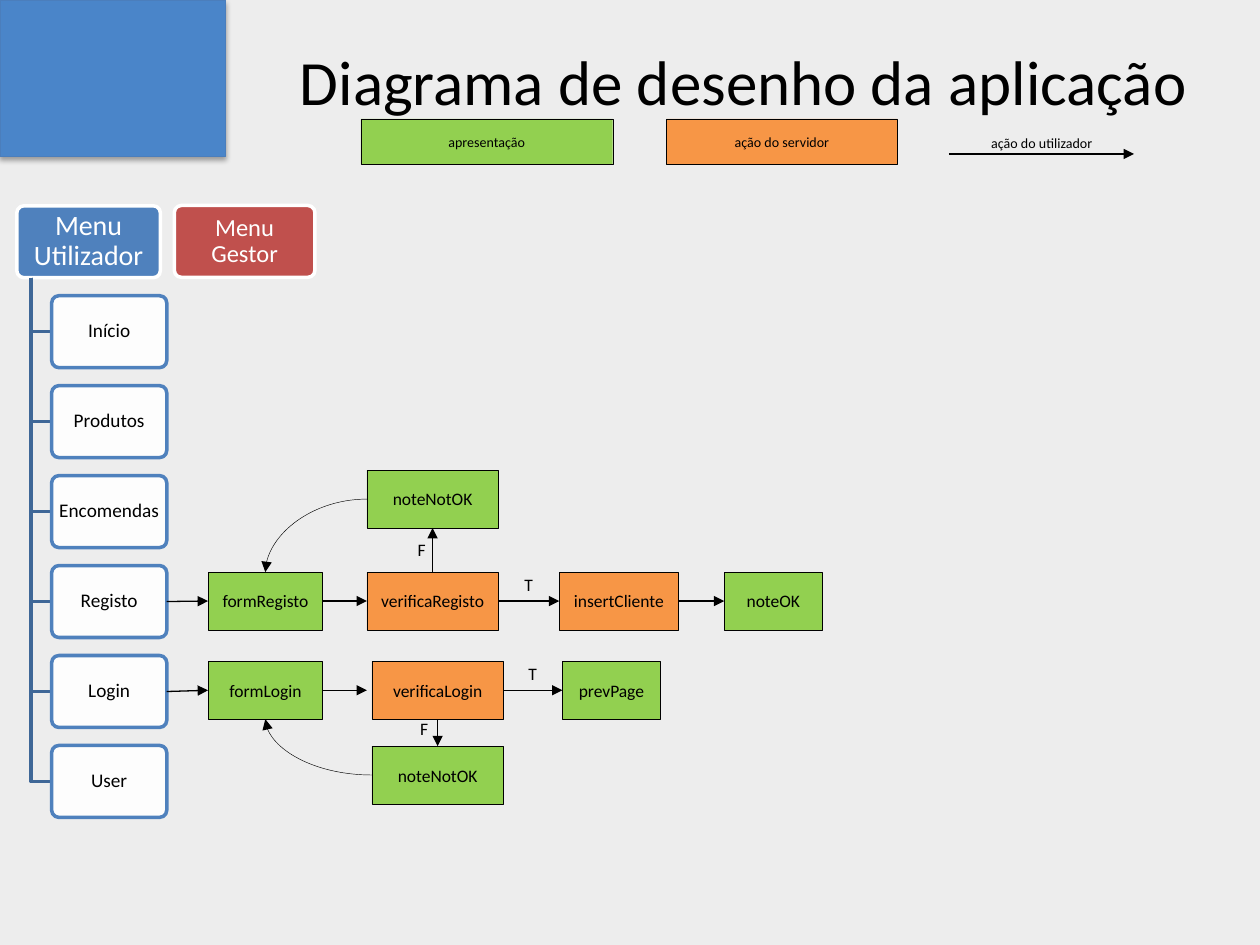
from lxml import etree
from pptx import Presentation
from pptx.dml.color import RGBColor
from pptx.enum.shapes import MSO_CONNECTOR as Conn, MSO_SHAPE as Kind
from pptx.enum.text import MSO_ANCHOR as Anchor, PP_ALIGN as Align
from pptx.oxml import parse_xml
from pptx.oxml.ns import nsdecls, qn
from pptx.util import Pt

HUES = {
    "back": "EDEDED", "corner": "4A85C9", "edge": "4B7EBC",
    "page": "92D050", "server": "F79646", "black": "000000",
    "white": "FFFFFF", "user": "4F81BD", "admin": "C0504D", "trunk": "3F6797",
}
TOP, LEFT, BOTTOM, RIGHT = 0, 1, 2, 3


def hue(name):
    return RGBColor.from_string(HUES[name])


def write(shape, text, size, color="black", inset=None, space=None):
    frame = shape.text_frame
    frame.word_wrap = True
    if inset is not None:
        frame.margin_left = frame.margin_right = Pt(inset)
        frame.margin_top = frame.margin_bottom = Pt(1.5)
    para = frame.paragraphs[0]
    para.text = text
    para.alignment = Align.CENTER
    if space:
        para.line_spacing = space
    para.font.size = Pt(size)
    para.font.name = "Calibri"
    para.font.color.rgb = hue(color)
    return frame


def block(slide, kind, x, y, w, h, fill, line, width):
    shape = slide.shapes.add_shape(kind, Pt(x), Pt(y), Pt(w), Pt(h))
    shape.shadow.inherit = False
    shape.fill.solid()
    shape.fill.fore_color.rgb = hue(fill)
    shape.line.color.rgb = hue(line)
    shape.line.width = Pt(width)
    return shape


def step(slide, text, x, y, w, fill, h=33.1, size=10):
    shape = block(slide, Kind.RECTANGLE, x, y, w, h, fill, "black", 0.25)
    write(shape, text, size).vertical_anchor = Anchor.MIDDLE
    return shape


def label(slide, text, x, y, w, h, size):
    box = slide.shapes.add_textbox(Pt(x), Pt(y), Pt(w), Pt(h))
    write(box, text, size).vertical_anchor = Anchor.TOP


def menu(slide, text, x, y, w, fill, line, color, size, inset):
    shape = block(slide, Kind.ROUNDED_RECTANGLE, x, y, w, 41.1, fill, line, 2)
    shape.adjustments[0] = 0.1
    write(shape, text, size, color, inset, 0.9).vertical_anchor = Anchor.MIDDLE
    return shape


def arrow(slide, x1, y1, x2, y2, width=0.75, kind=Conn.STRAIGHT):
    line = slide.shapes.add_connector(kind, Pt(x1), Pt(y1), Pt(x2), Pt(y2))
    line.line.color.rgb = hue("black")
    line.line.width = Pt(width)
    etree.SubElement(line.line._get_or_add_ln(), qn("a:tailEnd"), type="triangle")
    props = line._element.spPr
    etree.SubElement(props, qn("a:effectLst"))
    if kind == Conn.CURVE:
        props.find(qn("a:prstGeom")).set("prst", "curvedConnector2")
    return line


def link(slide, start, end, out=RIGHT, into=LEFT):
    line = arrow(slide, 0, 0, 10, 10)
    line.begin_connect(start, out)
    line.end_connect(end, into)


def branch(slide, x, y, x2, y2):
    form = slide.shapes.build_freeform(Pt(x), Pt(y), scale=1.0)
    form.add_line_segments([(Pt(x), Pt(y2)), (Pt(x2), Pt(y2))], close=False)
    shape = form.convert_to_shape()
    shape.shadow.inherit = False
    shape.fill.background()
    shape.line.color.rgb = hue("trunk")
    shape.line.width = Pt(2)


def corner(slide):
    shape = block(slide, Kind.RECTANGLE, 0, 0, 129, 89.5, "corner", "edge", 0.75)
    shape._element.spPr.find(qn("a:effectLst")).append(parse_xml(
        f'<a:outerShdw {nsdecls("a")} blurRad="{Pt(3.1)}" dist="{Pt(1.8)}" '
        'dir="5400000" rotWithShape="0"><a:srgbClr val="000000">'
        '<a:alpha val="35000"/></a:srgbClr></a:outerShdw>'))


def legend(slide):
    step(slide, "apresentação", 206.2, 68, 144, "page", 25.9, 8)
    step(slide, "ação do servidor", 381, 68, 131.8, "server", 25.9, 8)
    arrow(slide, 542.2, 88, 648, 88)
    label(slide, "ação do utilizador", 509, 73.4, 172.8, 17, 8)


def menus(slide):
    menu(slide, "Menu Utilizador", 9.6, 117.6, 82.1, "user", "white", "white", 16, 5)
    menu(slide, "Menu Gestor", 99.6, 117.4, 80.4, "admin", "white", "white", 14, 5)
    items = {}
    names = ("Início", "Produtos", "Encomendas", "Registo", "Login", "User")
    for i, name in enumerate(names):
        y = 169 + 51.4 * i
        branch(slide, 17.8, 158.7, 29.5, y + 20.55)
        items[name] = menu(slide, name, 29.5, y, 65.8, "white", "user", "black", 11, 1.5)
        fill = items[name].fill._xPr.find(qn("a:solidFill"))
        etree.SubElement(fill[0], qn("a:alpha"), val="90000")
    return items


def signup(slide, item):
    y = 326.9
    form = step(slide, "formRegisto", 118.9, y, 65.5, "page")
    check = step(slide, "verificaRegisto", 209.7, y, 75, "server")
    save = step(slide, "insertCliente", 319.6, y, 68, "server")
    done = step(slide, "noteOK", 413.9, y, 56, "page")
    fail = step(slide, "noteNotOK", 209.7, 268.6, 75, "page")
    for start, end in ((item, form), (form, check), (check, save), (save, done)):
        link(slide, start, end)
    link(slide, check, fail, TOP, BOTTOM)
    arrow(slide, 209.7, 285.2, 151.65, y, 0.25, Conn.CURVE)
    label(slide, "T", 290.2, 324.7, 23.8, 19.4, 10)
    label(slide, "F", 229, 304.6, 23.8, 19.4, 10)


def login(slide, item):
    y = 377.9
    form = step(slide, "formLogin", 118.9, y, 65.5, "page")
    check = step(slide, "verificaLogin", 212.6, y, 75, "server")
    back = step(slide, "prevPage", 321.4, y, 56, "page")
    fail = step(slide, "noteNotOK", 212.6, 426.4, 75, "page")
    link(slide, item, form)
    link(slide, check, back)
    link(slide, check, fail, BOTTOM, TOP)
    arrow(slide, 184.4, 394.45, 209.7, 394.45).begin_connect(form, RIGHT)
    arrow(slide, 212.6, 442.9, 151.65, 411, 0.25, Conn.CURVE)
    label(slide, "T", 292.4, 375.1, 23.8, 19.4, 10)
    label(slide, "F", 230.4, 406.8, 23.8, 19.4, 10)


def main():
    deck = Presentation()
    deck.slide_width, deck.slide_height = Pt(720), Pt(540)
    slide = deck.slides.add_slide(deck.slide_layouts[6])
    slide.background.fill.solid()
    slide.background.fill.fore_color.rgb = hue("back")
    corner(slide)
    label(slide, "Diagrama de desenho da aplicação", 129.6, 21, 590.4, 61.2, 36)
    legend(slide)
    items = menus(slide)
    signup(slide, items["Registo"])
    login(slide, items["Login"])
    deck.save("out.pptx")


if __name__ == "__main__":
    main()
